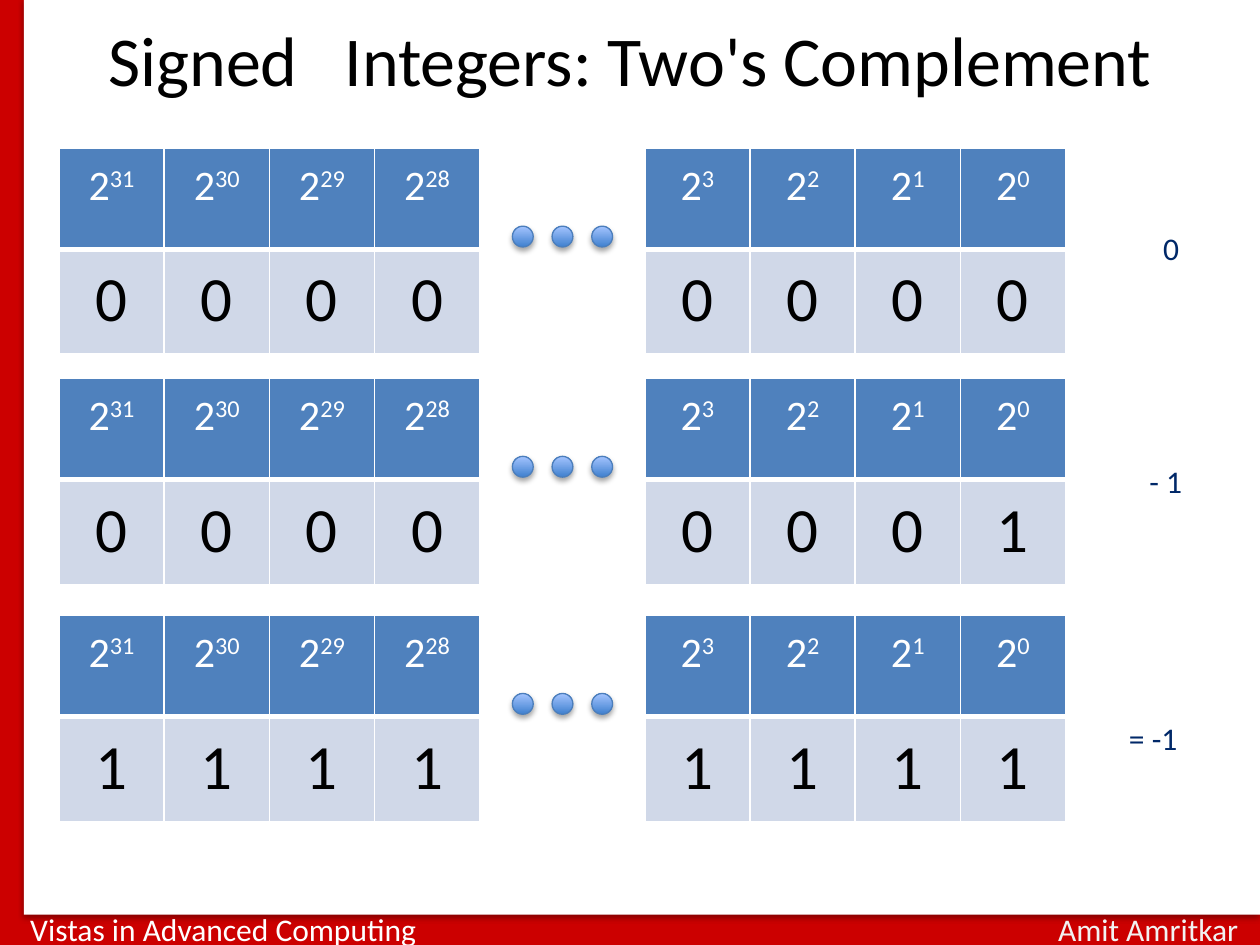
import pptx
import pptx.util
import pptx.dml.color
import pptx.enum.shapes
import pptx.enum.text
import pptx.oxml
import pptx.oxml.ns

Cm = pptx.util.Cm
Pt = pptx.util.Pt
SHAPES = pptx.enum.shapes.MSO_SHAPE
ALIGN = pptx.enum.text.PP_ALIGN
NS = pptx.oxml.ns.nsdecls("a")

COLORS = {
    "band": "CC0000", "paper": "FFFFFF", "footer_right": "F2F2F2",
    "header": "4F81BD", "bits": "D0D8E8", "ink": "000000", "result": "002868",
    "dot_dark": "3F80CE", "dot_light": "A4C4FF", "dot_line": "4B7EBC",
}
SLIDE_WIDTH = 25.4
COLUMN_WIDTH = 2.12
HIGH_POWERS, LOW_POWERS = (31, 30, 29, 28), (3, 2, 1, 0)

# Each word: top, high bits, low bits, then result text, left, top and left inset
WORDS = [
    (2.98, "0000", "0000", "0", 22.66, 4.37, 0.79),
    (7.62, "0000", "0001", "- 1", 22.66, 9.07, 0.51),
    (12.4, "1111", "1111", "= -1", 22.25, 14.25, 0.51),
]


def rgb(name):
    return pptx.dml.color.RGBColor.from_string(COLORS[name])


def add_run(paragraph, text, size, color, **attributes):
    run = paragraph.add_run()
    run.text = text
    run.font.name = "Calibri"
    run.font.size = Pt(size)
    run.font.color.rgb = rgb(color)
    for key, value in attributes.items():
        run.font._element.set(key, value)


def add_text_box(slide, left, top, width, height, inset=(0.25, 0.13), wrap=True):
    box = slide.shapes.add_textbox(Cm(left), Cm(top), Cm(width), Cm(height))
    frame = box.text_frame
    frame.word_wrap = wrap
    frame.margin_left, frame.margin_top = Cm(inset[0]), Cm(inset[1])
    return frame.paragraphs[0]


def add_soft_shadow(shape):
    shape._element.spPr.append(pptx.oxml.parse_xml(
        f'<a:effectLst {NS}><a:outerShdw blurRad="{Pt(3.1)}" dist="{Pt(1.8)}" '
        f'dir="5400000" rotWithShape="0"><a:srgbClr val="{COLORS["ink"]}">'
        '<a:alpha val="35000"/></a:srgbClr></a:outerShdw></a:effectLst>'))


def add_dot(slide, left, top):
    dot = slide.shapes.add_shape(SHAPES.OVAL, Cm(left), Cm(top), Cm(0.42), Cm(0.42))
    dot.fill.gradient()
    dot.fill.gradient_angle = 90
    for stop, color in zip(dot.fill.gradient_stops, ("dot_dark", "dot_light")):
        stop.color.rgb = rgb(color)
    dot.line.color.rgb = rgb("dot_line")
    dot.line.width = Pt(0.75)
    add_soft_shadow(dot)


def style_cell(cell, fill, bottom_width):
    cell.margin_left = cell.margin_right = Cm(0.51)
    cell.margin_top = cell.margin_bottom = Cm(0.25)
    properties = cell._tc.get_or_add_tcPr()
    for side, width in (("L", 1), ("R", 1), ("T", 1), ("B", bottom_width)):
        properties.append(pptx.oxml.parse_xml(
            f'<a:ln{side} {NS} w="{Pt(width)}"><a:solidFill>'
            f'<a:srgbClr val="{COLORS["paper"]}"/></a:solidFill></a:ln{side}>'))
    cell.fill.solid()
    cell.fill.fore_color.rgb = rgb(fill)
    paragraph = cell.text_frame.paragraphs[0]
    paragraph.alignment = ALIGN.CENTER
    return paragraph


def add_bit_table(slide, left, top, powers, bits):
    table = slide.shapes.add_table(
        2, 4, Cm(left), Cm(top), Cm(4 * COLUMN_WIDTH), Cm(4.16)).table
    table.rows[0].height, table.rows[1].height = Cm(2.05), Cm(2.11)
    for index, (power, bit) in enumerate(zip(powers, bits)):
        table.columns[index].width = Cm(COLUMN_WIDTH)
        place = style_cell(table.cell(0, index), "header", 3)
        add_run(place, "2", 24, "paper")
        add_run(place, str(power), 24, "paper", baseline="30000")
        digit = style_cell(table.cell(1, index), "bits", 1)
        add_run(digit, bit, 36, "ink")


def add_backdrop(slide):
    slide.background.fill.solid()
    slide.background.fill.fore_color.rgb = rgb("band")
    paper = slide.shapes.add_shape(
        SHAPES.RECTANGLE, Cm(0.48), Cm(-0.03), Cm(24.92), Cm(18.47))
    paper.fill.solid()
    paper.fill.fore_color.rgb = rgb("paper")
    paper.line.fill.background()
    add_soft_shadow(paper)

    course = add_text_box(slide, 0.36, 18.21, 8.38, 1.02, wrap=False)
    add_run(course, "Vistas in Advanced Computing", 18, "paper")
    author = add_text_box(slide, 21.08, 18.21, 4.32, 1.02)
    add_run(author, "Amit Amritkar", 18, "footer_right")


def add_title(slide):
    title = add_text_box(slide, 1.27, 0.76, 22.86, 3.18, inset=(0.25, 0.2))
    title.alignment = ALIGN.CENTER
    title.line_spacing = Pt(30.4)
    add_run(title, "Signed", 40, "ink")
    add_run(title, " ", 40, "ink", spc="1770")  # wide gap by letter spacing
    add_run(title, "Integers: Two's Complement", 40, "ink")


def main():
    deck = pptx.Presentation()
    deck.slide_width, deck.slide_height = Cm(SLIDE_WIDTH), Cm(19.05)
    slide = deck.slides.add_slide(deck.slide_layouts[6])

    add_backdrop(slide)

    # Three 32-bit words, each with its middle bits shown as dots
    for top, high, low, result, result_left, result_top, inset in WORDS:
        add_bit_table(slide, 13, top, LOW_POWERS, low)
        add_bit_table(slide, 1.19, top, HIGH_POWERS, high)
        for step in range(3):
            add_dot(slide, 10.33 + 0.8 * step, top + 1.58)
        value = add_text_box(slide, result_left, result_top,
                             SLIDE_WIDTH - result_left, 1.27, inset=(inset, 0.25))
        add_run(value, result, 18, "result")

    add_title(slide)
    deck.save("out.pptx")


if __name__ == "__main__":
    main()
